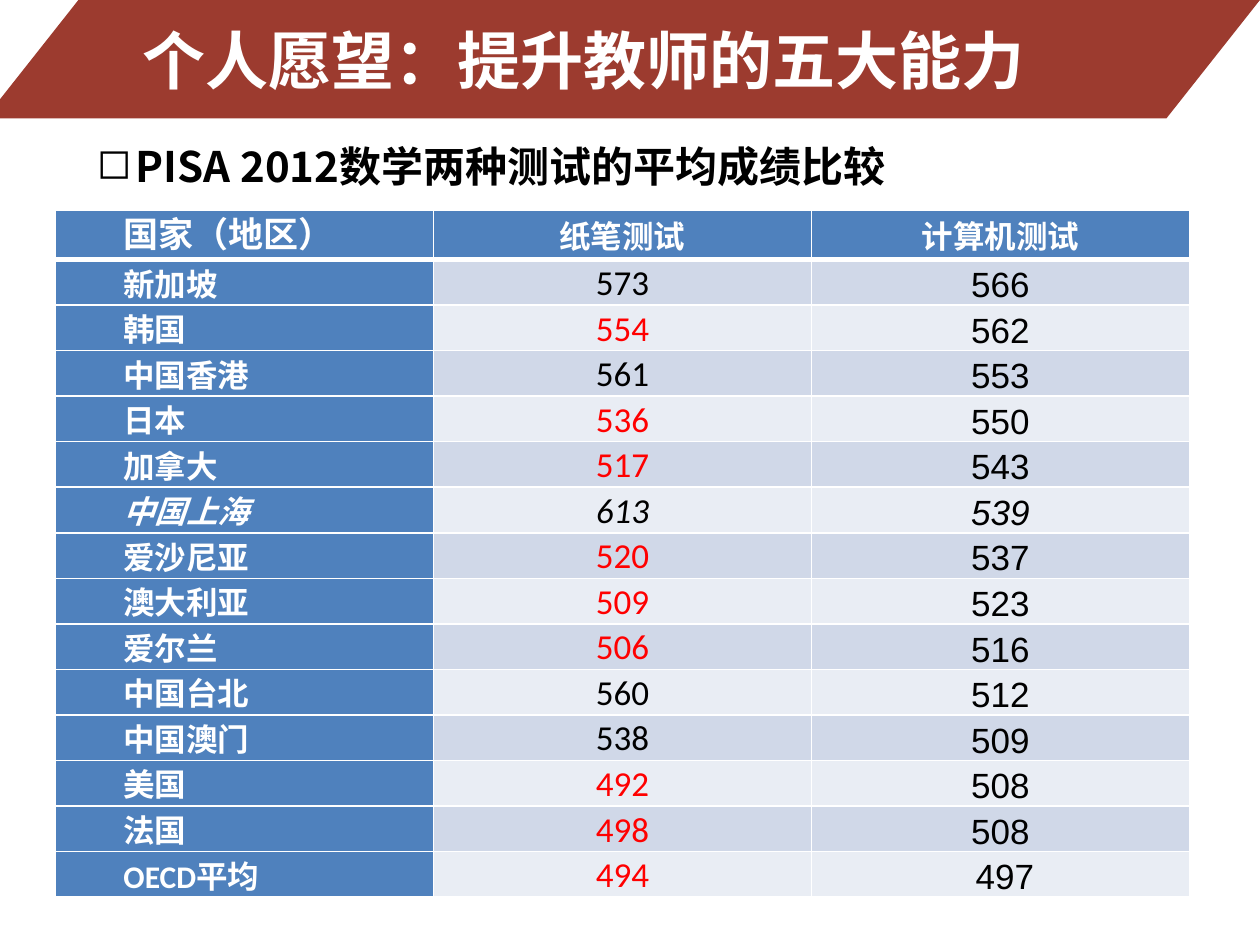
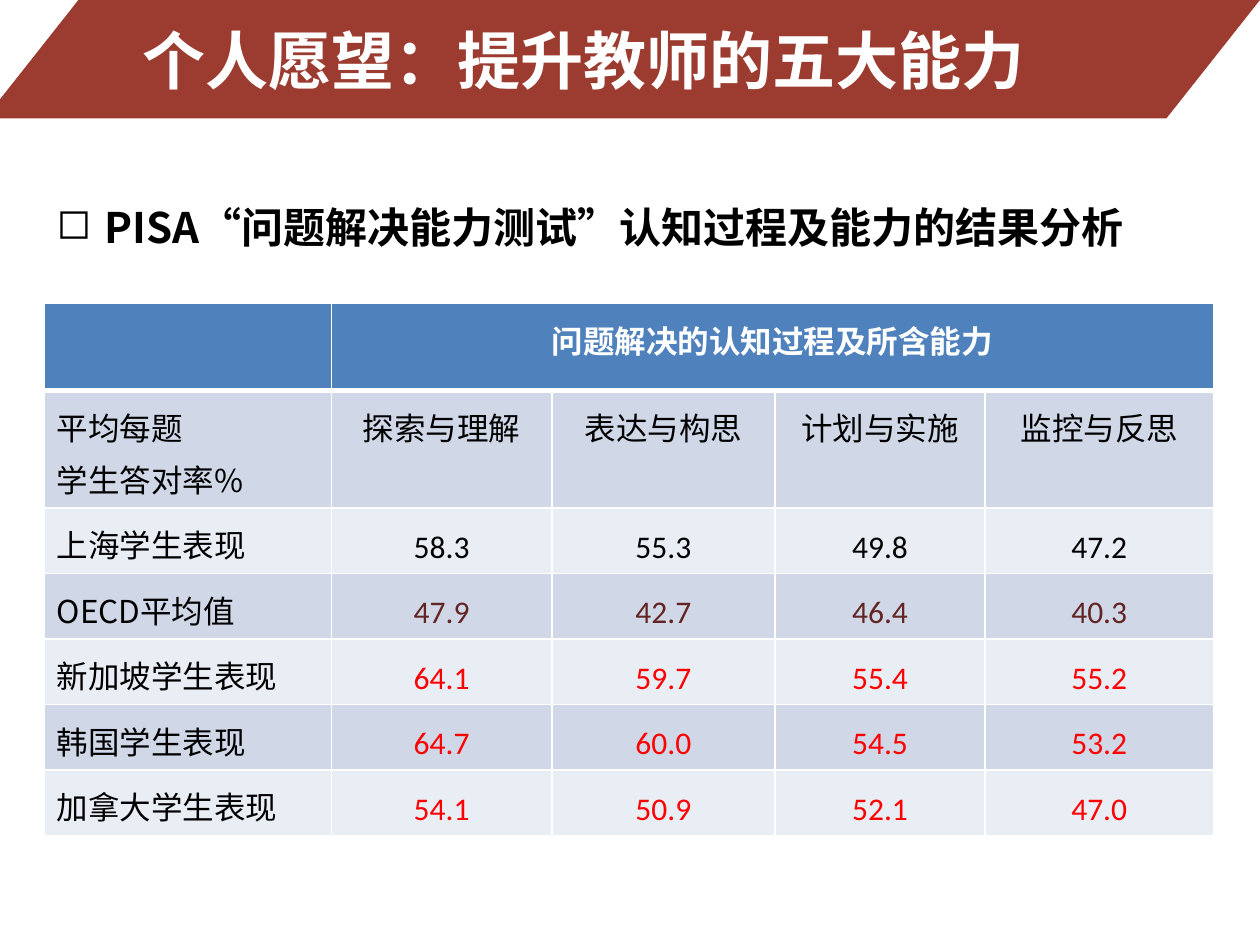
from dataclasses import dataclass

from lxml import etree
from pptx import Presentation
from pptx import util as u
from pptx.dml.color import RGBColor
from pptx.enum import shapes, text
from pptx.oxml import ns


@dataclass(frozen=True)
class Theme:
    band: str = "9C3B2F"
    head: str = "4F81BD"
    stripes: tuple = ("D0D8E8", "E9EDF4")
    white: str = "FFFFFF"
    black: str = "000000"
    red: str = "FF0000"
    maroon: str = "632523"
    sans: str = "Noto Sans CJK SC"
    body: str = "Calibri"
    digits: str = "Arial"
    title_size: int = 36
    lead_size: int = 24
    large_size: int = 20
    cell_size: int = 18


theme = Theme()
CENTER = text.PP_ALIGN.CENTER
MIDDLE = text.MSO_ANCHOR.MIDDLE


def write(para, words, size, color, face=theme.sans, bold=False, italic=False,
          align=None, leading=None, indent=0, hanging=0, bullet=None):
    properties = para._p.get_or_add_pPr()
    if indent:
        properties.set("marL", str(u.Inches(indent)))
        properties.set("indent", str(u.Inches(-hanging)))
    if bullet:
        etree.SubElement(properties, ns.qn("a:buChar"), char=bullet)
    if leading:
        para.line_spacing = u.Pt(leading)
    para.alignment = align
    span = para.add_run()
    span.text = words
    look = {"size": u.Pt(size), "name": face, "bold": bold, "italic": italic}
    for name, value in look.items():
        setattr(span.font, name, value)
    span.font.color.rgb = RGBColor.from_string(color)
    etree.SubElement(span._r.get_or_add_rPr(), ns.qn("a:ea"), typeface=theme.sans)


def make_grid(page, left, top, widths, heights, head_columns=0):
    frame = page.shapes.add_table(
        len(heights), len(widths), u.Inches(left), u.Inches(top),
        u.Inches(sum(widths)), u.Inches(sum(heights)))
    grid = frame.table
    grid.first_row = grid.horz_banding = False
    for column, width in zip(grid.columns, widths):
        column.width = u.Inches(width)
    for r, (row, height) in enumerate(zip(grid.rows, heights)):
        row.height = u.Inches(height)
        for c, cell in enumerate(row.cells):
            properties = cell._tc.get_or_add_tcPr()
            for side in "LRTB":
                thick = (r, side) in ((0, "B"), (1, "T"))
                line = etree.SubElement(properties, ns.qn(f"a:ln{side}"),
                                        w=str(u.Pt(3 if thick else 1)))
                paint = etree.SubElement(line, ns.qn("a:solidFill"))
                etree.SubElement(paint, ns.qn("a:srgbClr"), val=theme.white)
            is_head = r == 0 or c < head_columns
            cell.fill.solid()
            cell.fill.fore_color.rgb = RGBColor.from_string(
                theme.head if is_head else theme.stripes[(r - 1) % 2])
    return grid


deck = Presentation()
deck.slide_width, deck.slide_height = u.Inches(10), u.Inches(7.5)

leads = [
    ("PISA 2012数学两种测试的平均成绩比较", (0.67, 1.07, 8.19, 0.5),
     {"indent": 0.31, "hanging": 0.31}),
    ("PISA“问题解决能力测试”认知过程及能力的结果分析", (0.35, 1.53, 9.28, 0.52),
     {"indent": 0.38, "hanging": 0.38, "leading": 30}),
]
pages = []
for words, place, layout in leads:
    page = deck.slides.add_slide(deck.slide_layouts[6])
    pages.append(page)
    band = page.shapes.add_shape(
        shapes.MSO_SHAPE.PARALLELOGRAM, *map(u.Inches, (-0.12, 0, 10.12, 0.94)))
    band.adjustments[0] = 0.79
    band.shadow.inherit = False
    band.fill.solid()
    band.fill.fore_color.rgb = RGBColor.from_string(theme.band)
    band.line.fill.background()
    band.text_frame.vertical_anchor = MIDDLE
    write(band.text_frame.paragraphs[0], "个人愿望：提升教师的五大能力",
          theme.title_size, theme.white, bold=True, align=text.PP_ALIGN.LEFT)
    box = page.shapes.add_textbox(*map(u.Inches, place))
    box.text_frame.word_wrap = True
    box.text_frame.auto_size = text.MSO_AUTO_SIZE.SHAPE_TO_FIT_TEXT
    write(box.text_frame.paragraphs[0], words, theme.lead_size, theme.black,
          bold=True, bullet="◻", **layout)

score_page, process_page = pages

scores = [
    ("新加坡", 573, 566), ("韩国", 554, 562), ("中国香港", 561, 553),
    ("日本", 536, 550), ("加拿大", 517, 543), ("中国上海", 613, 539),
    ("爱沙尼亚", 520, 537), ("澳大利亚", 509, 523), ("爱尔兰", 506, 516),
    ("中国台北", 560, 512), ("中国澳门", 538, 509), ("美国", 492, 508),
    ("法国", 498, 508), ("OECD平均", 494, 497),
]
score_grid = make_grid(score_page, 0.44, 1.67, [3] * 3,
                       [0.39] + [0.36] * len(scores), head_columns=1)
for cell in score_grid.iter_cells():
    cell.margin_left = cell.margin_right = u.Inches(0.07)
    cell.margin_top = cell.margin_bottom = 0
    cell.vertical_anchor = MIDDLE

for c, heading in enumerate(("国家（地区）", "纸笔测试", "计算机测试")):
    write(score_grid.cell(0, c).text_frame.paragraphs[0], heading,
          theme.cell_size if c else theme.large_size, theme.white, theme.body,
          bold=True, align=CENTER if c else None, leading=26,
          indent=0 if c else 0.47)

for r, (region, paper, computer) in enumerate(scores, 1):
    name_cell, paper_cell, computer_cell = score_grid.rows[r].cells
    italic = region == "中国上海"
    paper_color = theme.red if paper < computer else theme.black
    write(name_cell.text_frame.paragraphs[0], region, theme.cell_size, theme.white,
          theme.body, bold=True, italic=italic, leading=26, indent=0.47)
    write(paper_cell.text_frame.paragraphs[0], str(paper), theme.large_size,
          paper_color, theme.body, italic=italic, align=CENTER, leading=26)
    write(computer_cell.text_frame.paragraphs[0], str(computer), theme.large_size,
          theme.black, theme.digits, italic=italic, align=CENTER, leading=26)
    if r < len(scores):
        computer_cell.vertical_anchor = text.MSO_ANCHOR.BOTTOM
    else:
        computer_cell.margin_left = u.Inches(0.14)

rates = [
    ("上海学生表现", theme.black, (58.3, 55.3, 49.8, 47.2)),
    ("OECD平均值", theme.maroon, (47.9, 42.7, 46.4, 40.3)),
    ("新加坡学生表现", theme.red, (64.1, 59.7, 55.4, 55.2)),
    ("韩国学生表现", theme.red, (64.7, 60.0, 54.5, 53.2)),
    ("加拿大学生表现", theme.red, (54.1, 50.9, 52.1, 47.0)),
]
rate_grid = make_grid(process_page, 0.35, 2.41, [2.28, 1.75, 1.77, 1.67, 1.81],
                      [0.69, 0.93] + [0.52] * len(rates))
rate_grid.cell(0, 1).merge(rate_grid.cell(0, 4))
write(rate_grid.cell(0, 1).text_frame.paragraphs[0], "问题解决的认知过程及所含能力",
      theme.cell_size, theme.white, bold=True, align=CENTER, leading=30)

corner = rate_grid.cell(1, 0).text_frame
for para, words in ((corner.paragraphs[0], "平均每题"),
                    (corner.add_paragraph(), "学生答对率%")):
    write(para, words, theme.cell_size, theme.black, leading=30)
for c, process in enumerate(("探索与理解", "表达与构思", "计划与实施", "监控与反思"), 1):
    write(rate_grid.cell(1, c).text_frame.paragraphs[0], process,
          theme.cell_size, theme.black, align=CENTER, leading=30)

for r, (group, color, values) in enumerate(rates, 2):
    write(rate_grid.cell(r, 0).text_frame.paragraphs[0], group,
          theme.cell_size, theme.black, leading=30)
    for c, value in enumerate(values, 1):
        write(rate_grid.cell(r, c).text_frame.paragraphs[0], f"{value:.1f}",
              theme.cell_size, color, theme.body, align=CENTER, leading=30)

deck.save("out.pptx")
